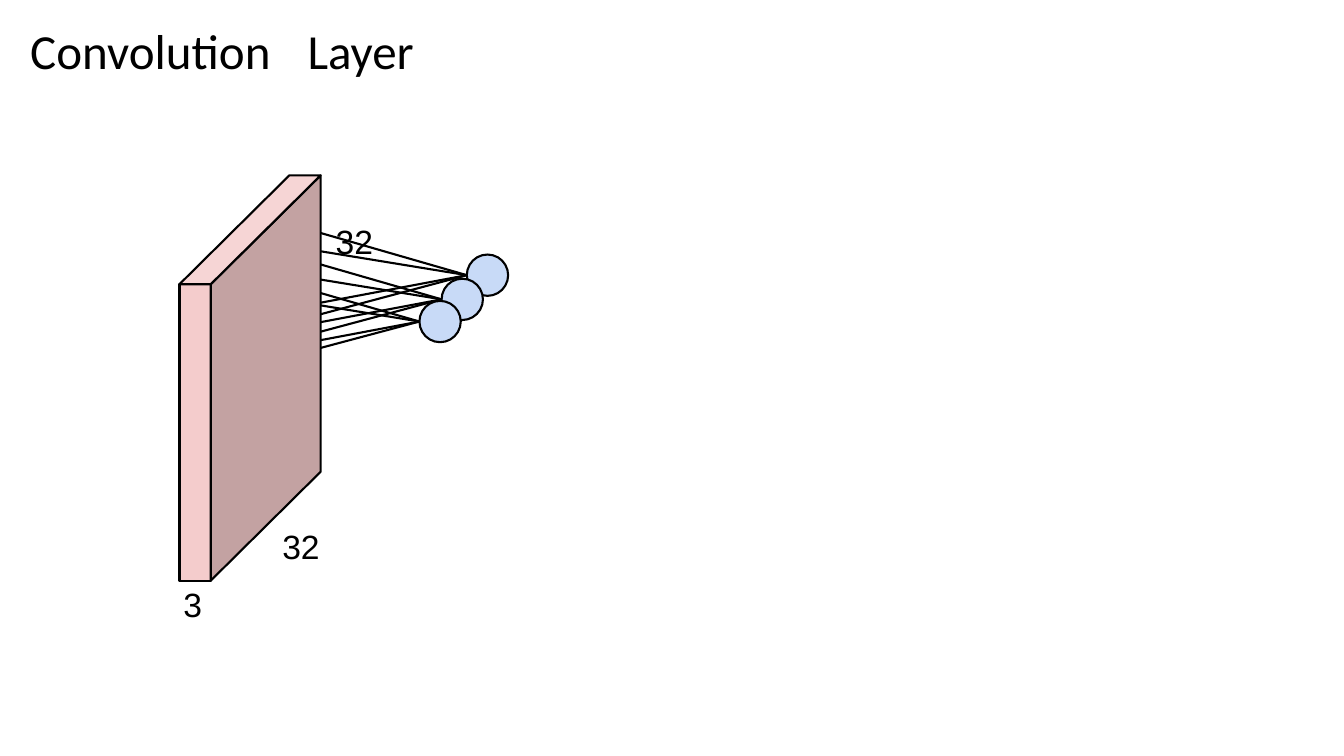
from lxml import etree
from pptx import Presentation
from pptx.dml.color import RGBColor
from pptx.enum import shapes, text
from pptx.oxml import ns
from pptx.util import Inches, Pt

BLACK = RGBColor(0x00, 0x00, 0x00)
NEURON_BLUE = RGBColor(0xC8, 0xDA, 0xF7)
FRONT_PINK = RGBColor(0xF4, 0xCC, 0xCC)
SIDE_PINK = RGBColor(0xC3, 0xA2, 0xA2)
TOP_PINK = RGBColor(0xF6, 0xD5, 0xD5)
OUTLINE = Pt(1.5)

# Content: wording, left, top, width, height, font, size
LABELS = [
    ("Convolution", 0.3, 0.2, 2.7, 0.6, "Calibri", 35),
    ("Layer", 3.05, 0.2, 1.28, 0.6, "Calibri", 35),
    ("32", 3.33, 2.19, 0.45, 0.38, "Arial", 24),
    ("32", 2.8, 5.22, 0.45, 0.38, "Arial", 24),
    ("3", 1.82, 5.79, 0.26, 0.38, "Arial", 24),
]

# Neurons from back to front, each by its leftmost point
NEURONS = [(4.63, 2.73), (4.38, 2.97), (4.16, 3.19)]
NEURON_SIZE = 0.41
# Corners of the receptive field, relative to that point
FIELD_CORNERS = [(-2.17, 0.58), (-2.14, -0.35), (-1.94, -0.56), (-1.91, 0.36)]

# Input volume: front face and the shift to its back face
LEFT, RIGHT, TOP, BOTTOM = 1.78, 2.09, 2.82, 5.76
DEPTH_X, DEPTH_Y = 1.09, -1.08
BACK_LEFT, BACK_RIGHT = LEFT + DEPTH_X, RIGHT + DEPTH_X
BACK_TOP, BACK_BOTTOM = TOP + DEPTH_Y, BOTTOM + DEPTH_Y
FACES = [
    (FRONT_PINK, [(LEFT, TOP), (RIGHT, TOP), (RIGHT, BOTTOM), (LEFT, BOTTOM)]),
    (SIDE_PINK, [(RIGHT, TOP), (BACK_RIGHT, BACK_TOP),
                 (BACK_RIGHT, BACK_BOTTOM), (RIGHT, BOTTOM)]),
    (TOP_PINK, [(LEFT, TOP), (BACK_LEFT, BACK_TOP),
                (BACK_RIGHT, BACK_TOP), (RIGHT, TOP)]),
]


def paint(shape, color):
    shape.shadow.inherit = False
    shape.fill.solid()
    shape.fill.fore_color.rgb = color
    shape.line.color.rgb = BLACK
    shape.line.width = OUTLINE


def add_neuron(slide, x, y):
    size = Inches(NEURON_SIZE)
    neuron = slide.shapes.add_shape(
        shapes.MSO_SHAPE.OVAL, Inches(x), Inches(y - NEURON_SIZE / 2), size, size)
    paint(neuron, NEURON_BLUE)
    for dx, dy in FIELD_CORNERS:
        ray = slide.shapes.add_connector(
            shapes.MSO_CONNECTOR.STRAIGHT,
            Inches(x + dx), Inches(y + dy), Inches(x), Inches(y))
        ray.line.color.rgb = BLACK
        ray.line.width = OUTLINE
        etree.SubElement(ray._element.spPr, ns.qn("a:effectLst"))


def add_face(slide, color, corners):
    first, *rest = [(Inches(x), Inches(y)) for x, y in corners]
    builder = slide.shapes.build_freeform(*first)
    builder.add_line_segments(rest, close=True)
    paint(builder.convert_to_shape(), color)


def add_label(slide, wording, left, top, width, height, font, size):
    box = slide.shapes.add_textbox(*map(Inches, (left, top, width, height)))
    frame = box.text_frame
    frame.word_wrap = True
    frame.vertical_anchor = text.MSO_ANCHOR.TOP
    frame.margin_left = frame.margin_right = 0
    frame.margin_top = frame.margin_bottom = 0
    paragraph = frame.paragraphs[0]
    paragraph.text = wording
    paragraph.font.name = font
    paragraph.font.size = Pt(size)
    paragraph.font.color.rgb = BLACK


def main():
    deck = Presentation()
    deck.slide_width, deck.slide_height = Inches(13.33), Inches(7.5)
    slide = deck.slides.add_slide(deck.slide_layouts[6])

    # Neurons and their rays lie behind the volume
    for x, y in NEURONS:
        add_neuron(slide, x, y)
    for color, corners in FACES:
        add_face(slide, color, corners)
    for label in LABELS:
        add_label(slide, *label)

    deck.save("out.pptx")


if __name__ == "__main__":
    main()
